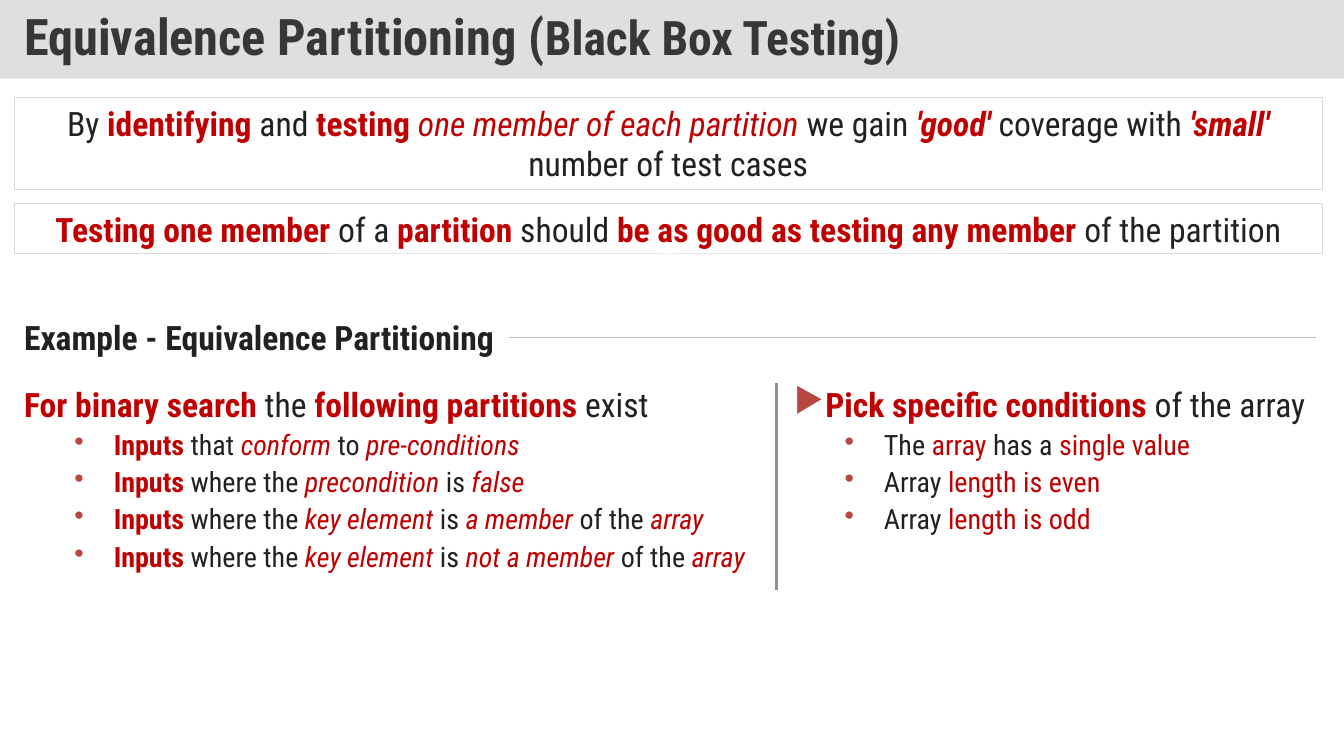
from dataclasses import dataclass
from typing import NamedTuple, Optional

from lxml import etree
from pptx import Presentation
from pptx.dml.color import RGBColor
from pptx.enum.shapes import MSO_CONNECTOR, MSO_SHAPE
from pptx.enum.text import MSO_ANCHOR, PP_ALIGN
from pptx.oxml.ns import qn
from pptx.util import Inches, Pt

RECTANGLE = MSO_SHAPE.RECTANGLE
STRAIGHT = MSO_CONNECTOR.STRAIGHT
TOP, MIDDLE = MSO_ANCHOR.TOP, MSO_ANCHOR.MIDDLE
LEFT, CENTER, JUSTIFY = PP_ALIGN.LEFT, PP_ALIGN.CENTER, PP_ALIGN.JUSTIFY

WIDTH, HEIGHT = Inches(13.33), Inches(7.5)


@dataclass(frozen=True)
class Theme:
    font: str = "Roboto Condensed"
    dark: str = "212121"
    red: str = "C00000"
    title: str = "373737"
    band: str = "C0C0C0"
    band_opacity: int = 50
    border: str = "D9D9D9"
    rule: str = "BFBFBF"
    divider: str = "909090"
    bullet: str = "B84742"
    title_size: int = 36
    subtitle_size: int = 34
    body_size: int = 24
    item_size: int = 20


THEME = Theme()


class Style(NamedTuple):
    color: str
    bold: bool = False
    italic: bool = False


PLAIN = Style(THEME.dark)
HEADING = Style(THEME.dark, bold=True)
TITLE = Style(THEME.title, bold=True)
RED = Style(THEME.red)
STRONG = Style(THEME.red, bold=True)
EMPHASIS = Style(THEME.red, italic=True)
STRONG_EMPHASIS = Style(THEME.red, bold=True, italic=True)


class Piece(NamedTuple):
    text: str
    style: Style = PLAIN
    size: Optional[int] = None


class Bullet(NamedTuple):
    character: str
    margin: float
    hanging: float


ARROW = Bullet("▶", 0.29, 0.29)
DOT = Bullet("•", 0.89, 0.39)


@dataclass(frozen=True)
class Line:
    pieces: list[Piece]
    size: int = THEME.body_size
    align: PP_ALIGN = LEFT
    spacing: Optional[float] = None
    before: int = 0
    bullet: Optional[Bullet] = None


@dataclass(frozen=True)
class Block:
    """Place and size in percent of the slide."""
    left: float
    top: float
    width: float
    height: float
    lines: list[Line]
    border: Optional[str] = None
    fill: Optional[str] = None
    anchor: MSO_ANCHOR = TOP
    insets: tuple[float, float] = (0.1, 0.05)


@dataclass(frozen=True)
class Rule:
    """Ends in percent of the slide."""
    start: tuple[float, float]
    end: tuple[float, float]
    color: str
    weight: float


def across(share: float) -> int:
    return round(WIDTH * share / 100)


def down(share: float) -> int:
    return round(HEIGHT * share / 100)


def add_bullet(paragraph, bullet: Bullet) -> None:
    properties = paragraph._p.get_or_add_pPr()
    properties.set("marL", str(Inches(bullet.margin)))
    properties.set("indent", str(-Inches(bullet.hanging)))
    color = etree.SubElement(properties, qn("a:buClr"))
    etree.SubElement(color, qn("a:srgbClr"), val=THEME.bullet)
    etree.SubElement(properties, qn("a:buChar"), char=bullet.character)


def write_line(paragraph, line: Line) -> None:
    if line.bullet:
        add_bullet(paragraph, line.bullet)
    paragraph.alignment = line.align
    paragraph.space_before = Pt(line.before)
    if line.spacing:
        paragraph.line_spacing = line.spacing
    for piece in line.pieces:
        run = paragraph.add_run()
        run.text = piece.text
        run.font.name = THEME.font
        run.font.size = Pt(piece.size or line.size)
        run.font.bold = piece.style.bold
        run.font.italic = piece.style.italic
        run.font.color.rgb = RGBColor.from_string(piece.style.color)


def draw_block(slide, block: Block) -> None:
    place = across(block.left), down(block.top), across(block.width), down(block.height)
    if block.border or block.fill:
        shape = slide.shapes.add_shape(RECTANGLE, *place)
        shape.shadow.inherit = False
    else:
        shape = slide.shapes.add_textbox(*place)
    if block.fill:
        shape.fill.solid()
        shape.fill.fore_color.rgb = RGBColor.from_string(block.fill)
        color = shape.fill._xPr.find(".//" + qn("a:srgbClr"))
        etree.SubElement(color, qn("a:alpha"), val=str(THEME.band_opacity * 1000))
    else:
        shape.fill.background()
    if block.border:
        shape.line.color.rgb = RGBColor.from_string(block.border)
        shape.line.width = Pt(0.75)
    else:
        shape.line.fill.background()
    frame = shape.text_frame
    frame.word_wrap = True
    frame.vertical_anchor = block.anchor
    frame.margin_left = frame.margin_right = Inches(block.insets[0])
    frame.margin_top = frame.margin_bottom = Inches(block.insets[1])
    for index, line in enumerate(block.lines):
        write_line(frame.add_paragraph() if index else frame.paragraphs[0], line)


def draw_rule(slide, rule: Rule) -> None:
    (x1, y1), (x2, y2) = rule.start, rule.end
    connector = slide.shapes.add_connector(STRAIGHT, across(x1), down(y1), across(x2), down(y2))
    connector.line.color.rgb = RGBColor.from_string(rule.color)
    connector.line.width = Pt(rule.weight)
    etree.SubElement(connector._element.spPr, qn("a:effectLst"))


def lead(*pieces: Piece, bullet: Optional[Bullet] = None) -> Line:
    return Line(list(pieces), align=JUSTIFY, spacing=0.9, bullet=bullet)


def item(*pieces: Piece) -> Line:
    return Line(list(pieces), THEME.item_size, JUSTIFY, 0.9, 5, DOT)


def input_item(*pieces: Piece) -> Line:
    return item(Piece("Inputs ", STRONG), *pieces)


MARGIN, FULL, ROW, LISTS_TOP, LISTS_HEIGHT = 1.05, 97.35, 6.67, 50.67, 27.33
DIVIDER = 57.75
KEY = [Piece("where the "), Piece("key element ", EMPHASIS)]
ARRAY_END = [Piece("of the"), Piece(" array", EMPHASIS)]

BLOCKS = [
    # Title band
    Block(0, 0, 100, 10.4, [Line([
        Piece("Equivalence Partitioning (", TITLE),
        Piece("Black Box Testing)", TITLE, THEME.subtitle_size),
    ], THEME.title_size, spacing=0.9)], fill=THEME.band, anchor=MIDDLE, insets=(0.24, 0.12)),
    # Framed statements
    Block(MARGIN, 12.93, FULL, 12.13, [Line([
        Piece("By "), Piece("identifying ", STRONG), Piece("and "), Piece("testing ", STRONG),
        Piece("one member of each partition", EMPHASIS), Piece(" we gain "),
        Piece("'good'", STRONG_EMPHASIS), Piece(" coverage with "),
        Piece("'small'", STRONG_EMPHASIS), Piece(" number of test cases"),
    ], align=CENTER)], border=THEME.border),
    Block(MARGIN, 26.93, FULL, ROW, [Line([
        Piece("Testing one member ", STRONG), Piece("of a "), Piece("partition ", STRONG),
        Piece("should "), Piece("be as good as testing any member", STRONG),
        Piece(" of the partition"),
    ], align=CENTER)], border=THEME.border),
    # Example heading
    Block(MARGIN, 41.2, 36.75, ROW, [Line([Piece("Example - Equivalence Partitioning", HEADING)])]),
    # Partitions
    Block(MARGIN, LISTS_TOP, 55.58, LISTS_HEIGHT, [
        lead(Piece("For binary search ", STRONG), Piece("the "),
             Piece("following partitions ", STRONG), Piece("exist")),
        input_item(Piece("that "), Piece("conform ", EMPHASIS), Piece("to"),
                   Piece(" pre-conditions", EMPHASIS)),
        input_item(Piece("where the"), Piece(" precondition ", EMPHASIS), Piece("is"),
                   Piece(" false", EMPHASIS)),
        input_item(*KEY, Piece("is"), Piece(" a member ", EMPHASIS), *ARRAY_END),
        input_item(*KEY, Piece("is "), Piece("not a member ", EMPHASIS), *ARRAY_END),
    ]),
    # Array conditions
    Block(58.35, LISTS_TOP, 40.95, 21.6, [
        lead(Piece("Pick specific conditions ", STRONG), Piece("of the array"), bullet=ARROW),
        item(Piece("The "), Piece("array", RED), Piece(" has a "), Piece("single value", RED)),
        *(item(Piece("Array "), Piece(f"length is {parity}", RED)) for parity in ("even", "odd")),
    ]),
]

RULES = [
    Rule((37.88, 44.67), (97.95, 44.67), THEME.rule, 0.5),
    Rule((DIVIDER, LISTS_TOP), (DIVIDER, LISTS_TOP + LISTS_HEIGHT), THEME.divider, 2.25),
]


def main() -> None:
    presentation = Presentation()
    presentation.slide_width, presentation.slide_height = WIDTH, HEIGHT
    slide = presentation.slides.add_slide(presentation.slide_layouts[6])
    for block in BLOCKS:
        draw_block(slide, block)
    for rule in RULES:
        draw_rule(slide, rule)
    presentation.save("out.pptx")


if __name__ == "__main__":
    main()
